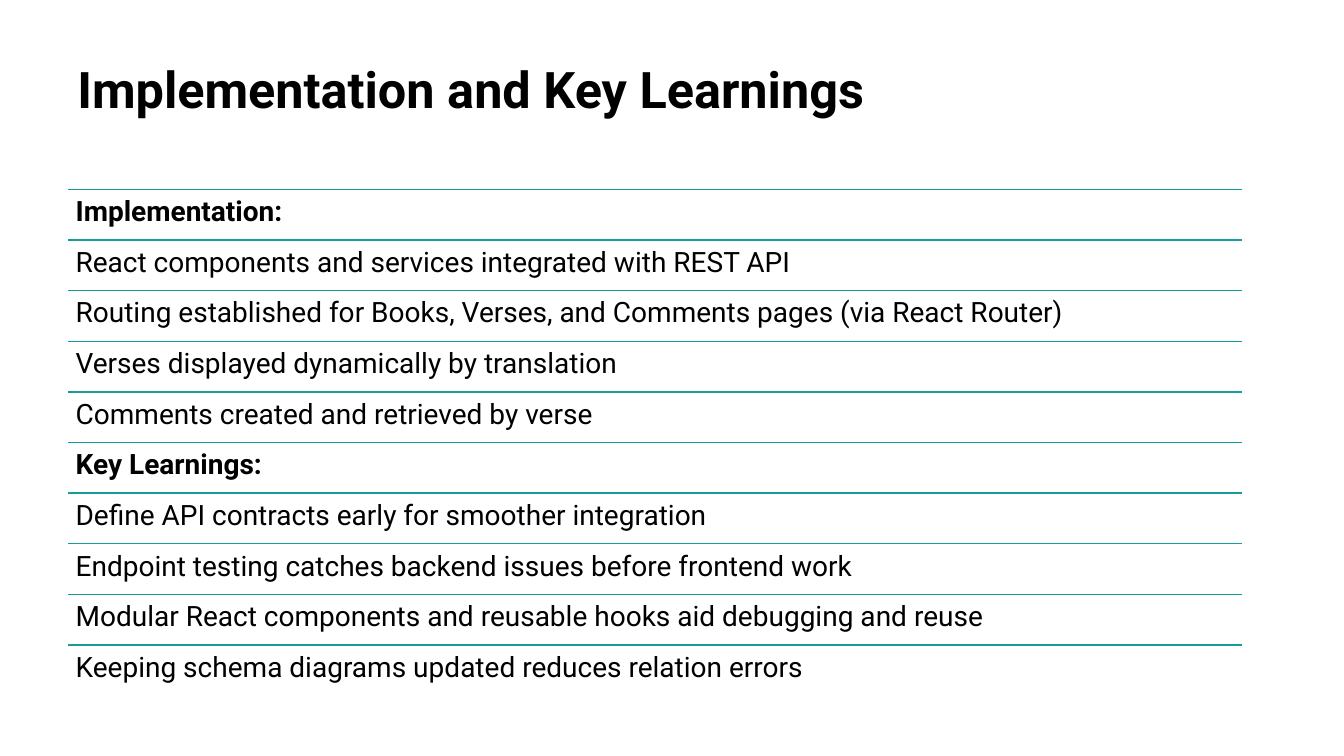
from dataclasses import dataclass

from lxml.etree import SubElement
from pptx import Presentation
from pptx.dml.color import RGBColor
from pptx.enum.shapes import MSO_CONNECTOR
from pptx.enum.text import MSO_ANCHOR
from pptx.oxml.ns import qn
from pptx.util import Pt


@dataclass(frozen=True)
class Theme:
    font: str = "Roboto"
    ink: RGBColor = RGBColor(0x00, 0x00, 0x00)
    rule: RGBColor = RGBColor(0x16, 0x9C, 0x9A)
    title_size: float = 36
    row_size: float = 20
    rule_width: float = 1


THEME = Theme()
LEFT, WIDTH = 48.24, 838.8
TITLE_TOP, TITLE_HEIGHT, TITLE_INSET = 43.2, 89.28, (7.2, 3.6)
ROWS_TOP, ROW_HEIGHT, ROW_INSET = 135.36, 36.15, (5.76, 5.76)

TITLE = "Implementation and Key Learnings"
SECTIONS = {
    "Implementation:": [
        "React components and services integrated with REST API",
        "Routing established for Books, Verses, and Comments pages (via React Router)",
        "Verses displayed dynamically by translation",
        "Comments created and retrieved by verse",
    ],
    "Key Learnings:": [
        "Define API contracts early for smoother integration",
        "Endpoint testing catches backend issues before frontend work",
        "Modular React components and reusable hooks aid debugging and reuse",
        "Keeping schema diagrams updated reduces relation errors",
    ],
}


def add_text(page, text, top, height, size, bold, inset):
    box = page.shapes.add_textbox(Pt(LEFT), Pt(top), Pt(WIDTH), Pt(height))
    frame = box.text_frame
    frame.word_wrap = True
    frame.vertical_anchor = MSO_ANCHOR.TOP
    frame.margin_left = frame.margin_right = Pt(inset[0])
    frame.margin_top = frame.margin_bottom = Pt(inset[1])
    para = frame.paragraphs[0]
    para.text = text
    para.line_spacing = 0.9
    para.font.name = THEME.font
    para.font.size = Pt(size)
    para.font.bold = bold
    para.font.color.rgb = THEME.ink


def add_rule(page, top):
    rule = page.shapes.add_connector(
        MSO_CONNECTOR.STRAIGHT, Pt(LEFT), Pt(top), Pt(LEFT + WIDTH), Pt(top))
    rule.line.color.rgb = THEME.rule
    rule.line.width = Pt(THEME.rule_width)
    SubElement(rule.element.spPr, qn("a:effectLst"))


def add_row(page, index, text, bold):
    top = ROWS_TOP + index * ROW_HEIGHT
    add_rule(page, top)
    add_text(page, text, top, ROW_HEIGHT, THEME.row_size, bold, ROW_INSET)


def main():
    deck = Presentation()
    deck.slide_width, deck.slide_height = Pt(960), Pt(540)
    page = deck.slides.add_slide(deck.slide_layouts[6])
    add_text(page, TITLE, TITLE_TOP, TITLE_HEIGHT, THEME.title_size, True, TITLE_INSET)
    rows = [(text, text == heading)
            for heading, points in SECTIONS.items()
            for text in (heading, *points)]
    for index, (text, bold) in enumerate(rows):
        add_row(page, index, text, bold)
    deck.save("out.pptx")


if __name__ == "__main__":
    main()
